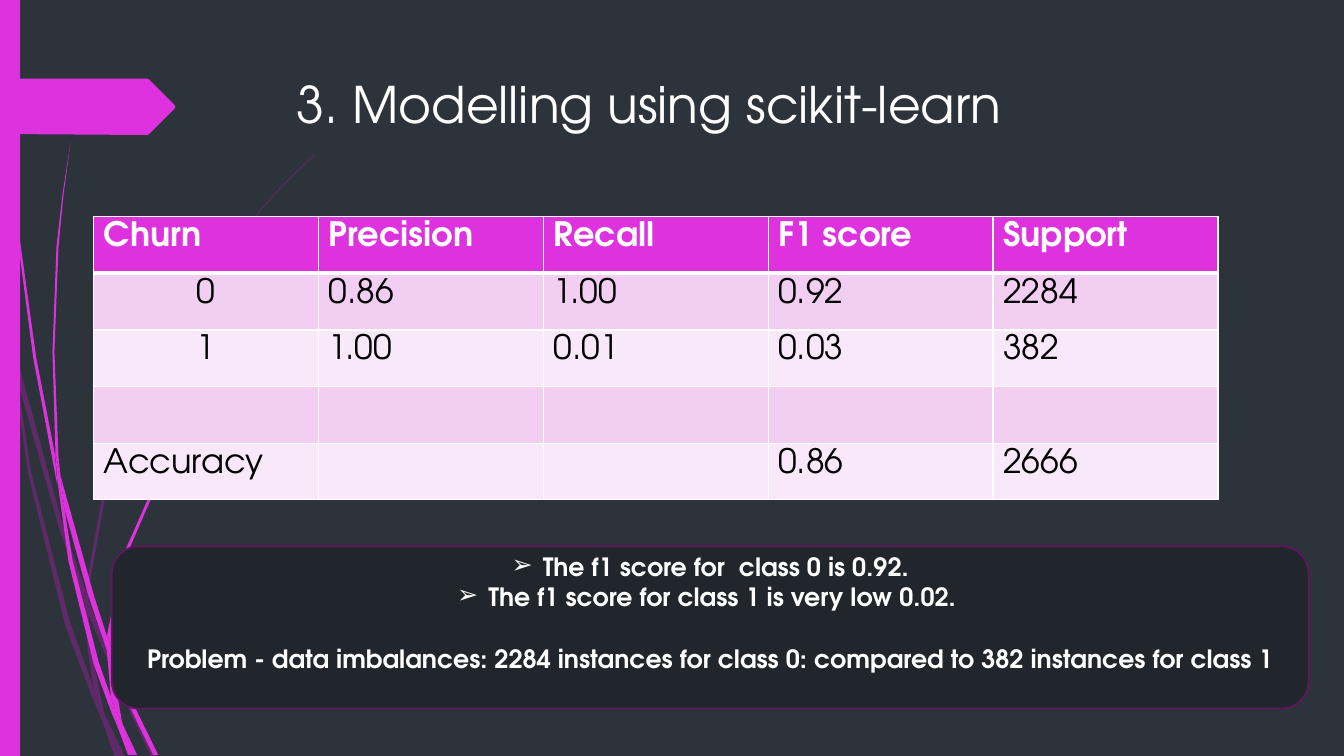
from lxml import etree
from pptx import Presentation
from pptx.dml.color import RGBColor
from pptx.enum.shapes import MSO_SHAPE
from pptx.enum.text import MSO_ANCHOR, PP_ALIGN
from pptx.oxml.ns import qn
from pptx.util import Pt

RECT = MSO_SHAPE.RECTANGLE
ROUND = MSO_SHAPE.ROUNDED_RECTANGLE
TOP, MIDDLE = MSO_ANCHOR.TOP, MSO_ANCHOR.MIDDLE
LEFT, CENTER = PP_ALIGN.LEFT, PP_ALIGN.CENTER

PX = 9144
FACE = "TeX Gyre Adventor"
PINK, PLUM, WHITE, BLACK = "DE32DE", "B01CB0", "FFFFFF", "000000"
BACK, PANEL, EDGE = "2C333A", "21262C", "611661"
BANDS = ["F2CEF2", "F9E8F9"]

SHADE = [
    [(11, 350), (9, 322), (0, 282), (0, 299), (10, 344)],
    [(58, 522), (84, 599), (85, 586), (62, 520), (14, 345), (17, 376)],
    [(92, 607), (88, 596), (88, 610), (123, 694), (150, 751), (155, 751), (127, 692)],
    [(119, 751), (124, 751), (105, 711)],
    [(93, 683), (70, 619), (31, 469), (17, 376), (11, 350), (28, 470),
     (65, 621), (92, 693), (101, 714), (99, 707)],
    [(84, 599), (87, 646), (93, 683), (96, 692), (105, 711), (103, 706),
     (91, 646), (88, 610), (88, 608)],
    [(88, 584), (110, 462), (160, 349), (229, 245), (268, 198), (290, 175),
     (312, 154), (312, 153), (289, 175), (268, 197), (228, 244), (158, 348),
     (107, 461), (85, 584), (85, 586), (88, 596)],
    [(101, 714), (114, 751), (119, 751)],
    [(88, 608), (88, 610), (88, 596), (85, 586), (84, 599)],
    [(96, 692), (93, 683), (99, 707), (101, 714), (119, 751), (105, 711)],
]
BRIGHT = [
    [(7, 110), (17, 233), (33, 355), (56, 477), (57, 481), (55, 457), (55, 453),
     (36, 355), (19, 232), (8, 109), (5, 48), (4, 0), (3, 0), (4, 48)],
    [(88, 592), (106, 645), (106, 633), (106, 631), (93, 590), (60, 472), (64, 505)],
    [(113, 649), (110, 641), (111, 656), (132, 708), (152, 749), (157, 749), (136, 706)],
    [(110, 691), (98, 657), (72, 556), (64, 505), (57, 477), (68, 557),
     (93, 659), (111, 708), (117, 722), (116, 717)],
    [(60, 472), (58, 453), (54, 349), (58, 245), (63, 193), (70, 141),
     (62, 193), (56, 245), (52, 349), (55, 449)],
    [(133, 749), (136, 749), (122, 719)],
    [(57, 477), (64, 505), (60, 472), (55, 449), (55, 453)],
    [(111, 633), (125, 552), (158, 476), (205, 406), (231, 374), (245, 359),
     (261, 344), (260, 344), (245, 358), (231, 373), (204, 405), (156, 474),
     (122, 551), (106, 631), (110, 641)],
    [(117, 722), (127, 749), (131, 749)],
    [(106, 645), (110, 691), (116, 706), (122, 719), (121, 716), (111, 656), (109, 651)],
    [(106, 645), (109, 651), (111, 656), (110, 641), (106, 631), (106, 633)],
    [(116, 706), (110, 691), (116, 717), (117, 722), (130, 749), (133, 749), (122, 719)],
]
TAG = [(0, 78), (146, 78), (148, 79), (173, 104), (174, 106), (173, 108),
       (148, 133), (146, 134), (0, 133)]
SCORES = [
    ["Churn", "Precision", "Recall", "F1 score", "Support"],
    ["0", "0.86", "1.00", "0.92", "2284"],
    ["1", "1.00", "0.01", "0.03", "382"],
    ["", "", "", "", ""],
    ["Accuracy", "", "", "0.86", "2666"],
]
NOTES = [
    ("The f1 score for  class 0 is 0.92.", True, 0),
    ("The f1 score for class 1 is very low 0.02. ", True, 0),
    ("Problem - data imbalances: 2284 instances for class 0: "
     "compared to 382 instances for class 1", False, 22),
]


def tint(code):
    return RGBColor.from_string(code)


def emu(*sizes):
    return [size * PX for size in sizes]


def paint(shape, color):
    shape.shadow.inherit = False
    shape.fill.solid()
    shape.fill.fore_color.rgb = tint(color)
    shape.line.fill.background()


def write(para, text, size, color, bold=False, align=LEFT):
    para.alignment = align
    run = para.add_run()
    run.text = text
    look = {"name": FACE, "size": Pt(size), "bold": bold}
    for key, value in look.items():
        setattr(run.font, key, value)
    run.font.color.rgb = tint(color)


def outline(slide, box, points, color, alpha=None):
    left, top = box[:2]
    ring = [emu(left + x, top + y) for x, y in points]
    form = slide.shapes.build_freeform(*ring[0])
    form.add_line_segments(ring[1:], close=True)
    shape = form.convert_to_shape()
    paint(shape, color)
    if alpha:
        code = shape.fill._xPr.find(qn("a:solidFill"))[0]
        etree.SubElement(code, qn("a:alpha"), val=str(alpha * 1000))


def side(slide, box):
    left, top, width, height = box
    for points in SHADE:
        outline(slide, box, points, PLUM, 40)
    for points in BRIGHT:
        outline(slide, box, points, PINK)
    paint(slide.shapes.add_shape(RECT, *emu(left, top, width, height)), PINK)
    outline(slide, box, TAG, PINK)


def title(slide, box):
    frame = slide.shapes.add_textbox(*emu(*box)).text_frame
    frame.word_wrap = True
    frame.vertical_anchor = TOP
    write(frame.paragraphs[0], "3. Modelling using scikit-learn", 36, WHITE)


def rule(cell, row):
    props = cell._tc.get_or_add_tcPr()
    thick = {"lnT": row == 1, "lnB": row == 0}
    for spot, name in enumerate(["lnL", "lnR", "lnT", "lnB"]):
        width = Pt(3 if thick.get(name) else 1)
        line = etree.Element(qn("a:" + name), w=str(width))
        fill = etree.SubElement(line, qn("a:solidFill"))
        etree.SubElement(fill, qn("a:srgbClr"), val=WHITE)
        props.insert(spot, line)


def grid(slide, box):
    table = slide.shapes.add_table(len(SCORES), len(SCORES[0]), *emu(*box)).table
    for i, row in enumerate(SCORES):
        head = i == 0
        for j, text in enumerate(row):
            cell = table.cell(i, j)
            cell.fill.solid()
            cell.fill.fore_color.rgb = tint(PINK if head else BANDS[(i - 1) % 2])
            rule(cell, i)
            if text:
                align = CENTER if j == 0 and text.isdigit() else LEFT
                write(cell.text_frame.paragraphs[0], text, 24,
                      WHITE if head else BLACK, head, align)


def panel(slide, box):
    shape = slide.shapes.add_shape(ROUND, *emu(*box))
    paint(shape, PANEL)
    shape.line.color.rgb = tint(EDGE)
    shape.line.width = Pt(1.25)
    frame = shape.text_frame
    look = {"word_wrap": True, "vertical_anchor": MIDDLE, "margin_bottom": 35 * PX}
    for key, value in look.items():
        setattr(frame, key, value)
    for i, (text, listed, gap) in enumerate(NOTES):
        para = frame.add_paragraph() if i else frame.paragraphs[0]
        write(para, text, 18, WHITE, True, CENTER)
        para.space_before = Pt(gap)
        if listed:
            props = para._p.get_or_add_pPr()
            props.set("marL", str(31 * PX))
            props.set("indent", str(-31 * PX))
            etree.SubElement(props, qn("a:buFont"), typeface=FACE)
            etree.SubElement(props, qn("a:buChar"), char="➢")


def main():
    deck = Presentation()
    deck.slide_width, deck.slide_height = emu(1333, 750)
    slide = deck.slides.add_slide(deck.slide_layouts[6])
    slide.background.fill.solid()
    slide.background.fill.fore_color.rgb = tint(BACK)
    side(slide, (0, 0, 20, 750))
    title(slide, (284, 68, 975, 140))
    grid(slide, (93, 215, 1115, 281))
    panel(slide, (111, 542, 1187, 161))
    deck.save("out.pptx")


if __name__ == "__main__":
    main()
